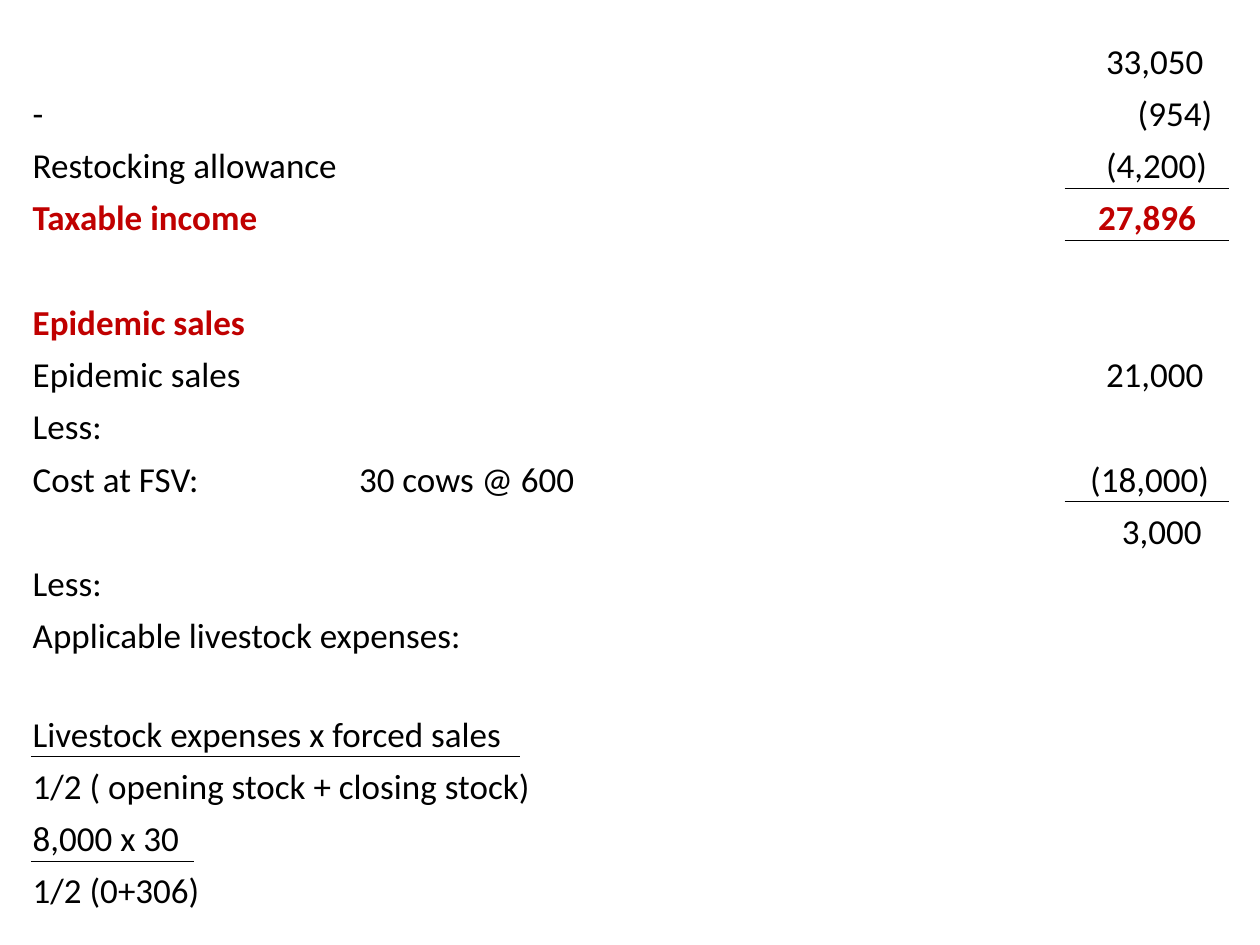
"""Build a livestock taxable income slide as one table."""
from lxml.etree import SubElement
from pptx import Presentation
from pptx.dml.color import RGBColor
from pptx.enum.text import MSO_ANCHOR
from pptx.oxml.ns import qn
from pptx.util import Pt

COLORS = {"text": "000000", "accent": "C00000", "rule": "000000"}
AMOUNT_COLUMN = 6
INDENT_STEP = 4.52

ROWS = [
    {6: ("33,050", 1, 5)},
    {0: ("-", 1, 0), 6: ("(954)", 1, 9)},
    {0: ("Restocking allowance", 3, 0), 6: ("(4,200)", 1, 5)},
    {0: ("Taxable income", 2, 0), 6: ("27,896", 1, 4)},
    {},
    {0: ("Epidemic sales", 2, 0)},
    {0: ("Epidemic sales", 2, 0), 6: ("21,000", 1, 5)},
    {0: ("Less:", 1, 0)},
    {0: ("Cost at FSV:", 2, 0), 2: ("30 cows @ 600", 2, 0), 6: ("(18,000)", 1, 3)},
    {6: ("3,000", 1, 7)},
    {0: ("Less:", 1, 0)},
    {0: ("Applicable livestock expenses:", 3, 0)},
    {0: ("Livestock expenses x forced sales", 3, 0)},
    {0: ("1/2 ( opening stock + closing stock)", 4, 0)},
    {0: ("8,000 x 30", 1, 0)},
    {0: ("1/2 (0+306)", 2, 0)},
]
ACCENT_ROWS = {3, 5}
FORMULA_ROW = 12
RULED_CELLS = {(row, AMOUNT_COLUMN) for row in (2, 3, 8)}
RULED_CELLS |= {(FORMULA_ROW, column) for column in range(3)} | {(14, 0)}


def add_rule(cell, edge):
    line = SubElement(cell._tc.get_or_add_tcPr(), qn(f"a:{edge}"), w=str(Pt(0.5)))
    fill = SubElement(line, qn("a:solidFill"))
    SubElement(fill, qn("a:srgbClr"), val=COLORS["rule"])


presentation = Presentation()
presentation.slide_width, presentation.slide_height = Pt(720), Pt(540)
slide = presentation.slides.add_slide(presentation.slide_layouts[6])
table = slide.shapes.add_table(len(ROWS), 7, Pt(18), Pt(18), Pt(684), Pt(504)).table
table.first_row = table.horz_banding = False

for index, column in enumerate(table.columns):
    column.width = Pt(124.56 if index == 5 else 93.24)
for index, row in enumerate(table.rows):
    row.height = Pt(56.25 if index == FORMULA_ROW else 29.85)

for row_index, entries in enumerate(ROWS):
    accent = row_index in ACCENT_ROWS
    for column_index in range(7):
        cell = table.cell(row_index, column_index)
        text, span, indent = entries.get(column_index, ("", 1, 0))
        if span > 1:
            cell.merge(table.cell(row_index, column_index + span - 1))
        cell.text = text
        cell.vertical_anchor = MSO_ANCHOR.BOTTOM
        cell.margin_left = Pt(0.72 + indent * INDENT_STEP)
        cell.margin_right = cell.margin_top = Pt(0.72)
        cell.margin_bottom = 0
        if (row_index - 1, column_index) in RULED_CELLS:
            add_rule(cell, "lnT")
        if (row_index, column_index) in RULED_CELLS:
            add_rule(cell, "lnB")
        cell.fill.background()
        font = cell.text_frame.paragraphs[0].font
        font.name, font.size, font.bold = "Calibri", Pt(20), accent
        font.color.rgb = RGBColor.from_string(COLORS["accent" if accent else "text"])

presentation.save("out.pptx")
